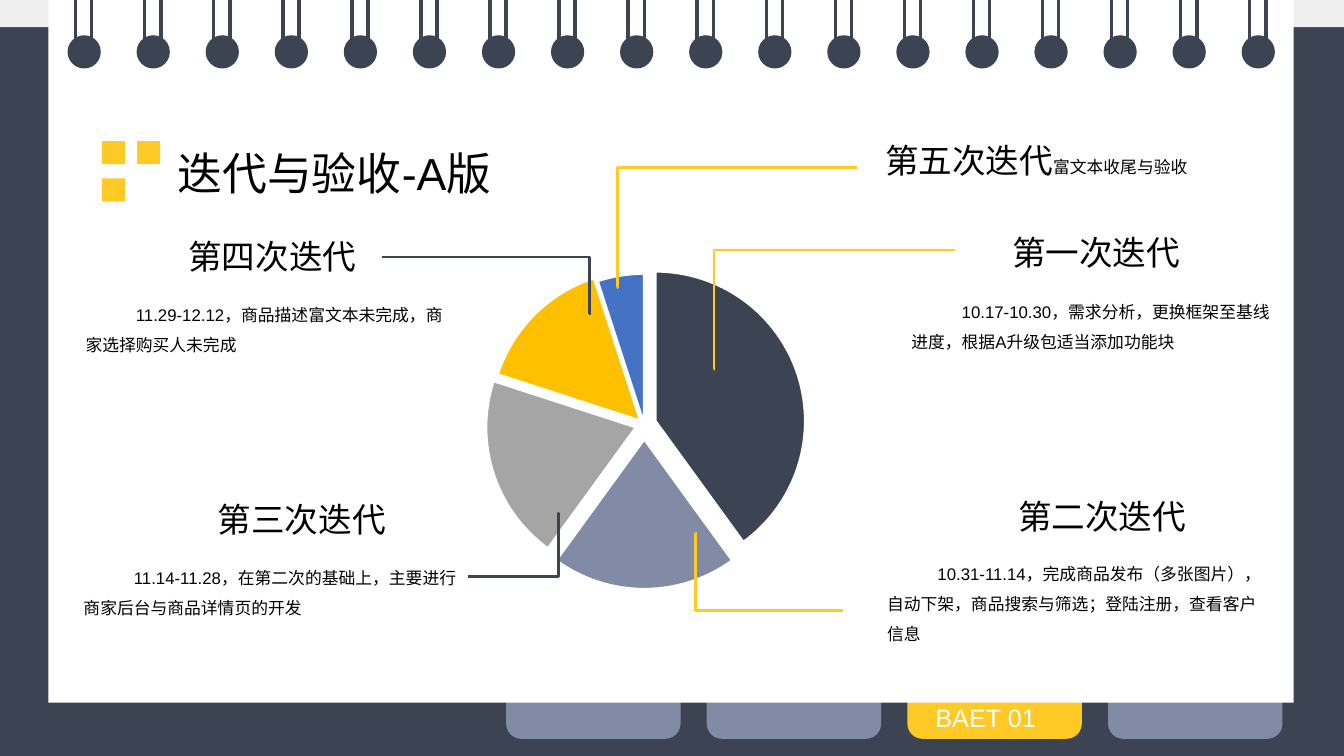
from lxml.etree import SubElement
from pptx import Presentation
from pptx.chart.data import CategoryChartData
from pptx.dml.color import RGBColor
from pptx.enum.chart import XL_CHART_TYPE
from pptx.enum.shapes import MSO_CONNECTOR, MSO_SHAPE
from pptx.enum.text import MSO_ANCHOR, MSO_AUTO_SIZE, PP_ALIGN
from pptx.oxml import parse_xml
from pptx.oxml.ns import nsdecls, qn
from pptx.util import Inches, Pt

THEME = {
    "navy": RGBColor.from_string("3C4353"),
    "slate": RGBColor.from_string("818BA5"),
    "yellow": RGBColor.from_string("FFCA25"),
    "pale": RGBColor.from_string("EFEFEF"),
    "white": RGBColor.from_string("FFFFFF"),
    "black": RGBColor.from_string("000000"),
    "grey": RGBColor.from_string("A5A5A5"),
    "gold": RGBColor.from_string("FFC000"),
    "blue": RGBColor.from_string("4472C4"),
    "font": "Arial",
    "chart_font": "Calibri",
    "title": Pt(32),
    "heading": Pt(24),
    "tab": Pt(18),
    "body": Pt(12),
    "chart": Pt(10),
}

prs = Presentation()
prs.slide_width, prs.slide_height = Inches(13.33), Inches(7.5)
s = prs.slides.add_slide(prs.slide_layouts[5])


def add_block(kind, x, y, w, h, color):
    sp = s.shapes.add_shape(kind, Inches(x), Inches(y), Inches(w), Inches(h))
    sp.shadow.inherit = False
    sp.fill.solid()
    sp.fill.fore_color.rgb = THEME[color]
    sp.line.fill.background()


def write(sp, runs, color="black", align=PP_ALIGN.LEFT, spacing=1.0, indent=0):
    tf = sp.text_frame
    frame = {"word_wrap": True, "auto_size": MSO_AUTO_SIZE.SHAPE_TO_FIT_TEXT,
             "vertical_anchor": MSO_ANCHOR.TOP}
    for name, value in frame.items():
        setattr(tf, name, value)
    p = tf.paragraphs[0]
    for name, value in {"alignment": align, "line_spacing": spacing}.items():
        setattr(p, name, value)
    if indent:
        pPr = p._p.get_or_add_pPr()
        pPr.set("marL", "0")
        pPr.set("indent", str(Inches(indent)))
    for text, size in runs:
        r = p.add_run()
        r.text = text
        for name, value in {"name": THEME["font"], "size": THEME[size]}.items():
            setattr(r.font, name, value)
        r.font.color.rgb = THEME[color]


add_block(MSO_SHAPE.RECTANGLE, 0, 0, 13.33, 7.5, "navy")
add_block(MSO_SHAPE.RECTANGLE, 0, 0, 13.33, 0.27, "pale")
for i, color in enumerate(["slate", "slate", "yellow", "slate"]):
    add_block(MSO_SHAPE.ROUNDED_RECTANGLE, 5.02 + 1.99 * i, 6.43, 1.73, 0.9, color)
tab = s.shapes.add_textbox(Inches(9.18), Inches(6.92), Inches(1.33), Inches(0.4))
write(tab, [("BAET 01", "tab")], "white", PP_ALIGN.JUSTIFY)

add_block(MSO_SHAPE.RECTANGLE, 0.48, 0, 12.35, 6.97, "white")
lines = []
for i in range(18):
    x = 0.67 + 0.685 * i
    add_block(MSO_SHAPE.OVAL, x, 0.35, 0.33, 0.33, "navy")
    for dx in (0.08, 0.24):
        c = s.shapes.add_connector(MSO_CONNECTOR.STRAIGHT, Inches(x + dx), Inches(-0.02),
                                   Inches(x + dx), Inches(0.51))
        lines.append((c, "navy", 2.5))

for x, y in [(1.01, 1.4), (1.36, 1.4), (1.01, 1.77)]:
    add_block(MSO_SHAPE.RECTANGLE, x, y, 0.23, 0.23, "yellow")

title = s.shapes.title
place = {"left": 1.66, "top": 1.4, "width": 3.64, "height": 0.64}
for name, value in place.items():
    setattr(title, name, Inches(value))
write(title, [("迭代与验收-A版", "title")])
title.element.getparent().append(title.element)

data = CategoryChartData()
data.categories = ["1", "2", "3", "4", "5"]
data.add_series("Series 1", (40, 20, 20, 15, 5))
chart = s.shapes.add_chart(XL_CHART_TYPE.PIE, Inches(3.92), Inches(2.59),
                           Inches(4.94), Inches(3.28), data).chart
for name, value in {"has_legend": False, "has_title": False}.items():
    setattr(chart, name, value)
for name, value in {"name": THEME["chart_font"], "size": THEME["chart"]}.items():
    setattr(chart.font, name, value)
chart.font.color.rgb = THEME["black"]
plot = chart.plots[0]
plot.vary_by_categories = True
slices = [("navy", 8), ("slate", 10), ("grey", 6), ("gold", 4), ("blue", 1)]
for i, (color, explosion) in enumerate(slices):
    point = plot.series[0].points[i]
    point.format.fill.solid()
    point.format.fill.fore_color.rgb = THEME[color]
    point.format.line.color.rgb = THEME["white"]
    point.format.line.width = Pt(1.5)
for dPt, (color, explosion) in zip(plot.series[0]._element.findall(qn("c:dPt")), slices):
    dPt.find(qn("c:spPr")).addprevious(
        parse_xml(f'<c:explosion {nsdecls("c")} val="{explosion}"/>'))
plot_area = chart._chartSpace.find(".//" + qn("c:plotArea"))
layout = plot_area.find(qn("c:layout"))
if layout is None:
    layout = parse_xml(f'<c:layout {nsdecls("c")}/>')
    plot_area.insert(0, layout)
manual = SubElement(layout, qn("c:manualLayout"))
for name, value in [("layoutTarget", "inner"), ("xMode", "edge"), ("yMode", "edge"),
                    ("x", 0.2), ("y", 0.04), ("w", 0.6), ("h", 0.91)]:
    SubElement(manual, qn("c:" + name)).set("val", str(value))

leaders = [
    (5.85, 3.11, 3.79, 2.55, "navy"),
    (5.54, 5.09, 4.64, 5.72, "navy"),
    (7.08, 3.67, 9.47, 2.48, "yellow"),
    (6.9, 5.28, 8.36, 6.06, "yellow"),
    (6.12, 2.85, 8.5, 1.66, "yellow"),
]
for x1, y1, x2, y2, color in leaders:
    c = s.shapes.add_connector(MSO_CONNECTOR.ELBOW, Inches(x1), Inches(y1),
                               Inches(x2), Inches(y2))
    guide = SubElement(c._element.spPr.find(qn("a:prstGeom")).get_or_add_avLst(), qn("a:gd"))
    for name, value in {"name": "adj1", "fmla": "val 100"}.items():
        guide.set(name, value)
    lines.append((c, color, 2))
for c, color, width in lines:
    c.line.color.rgb = THEME[color]
    c.line.width = Pt(width)
    SubElement(c._element.spPr, qn("a:effectLst"))

headings = [
    (1.77, 2.29, 2.07, [("第四次迭代", "heading")]),
    (2.06, 4.9, 2.08, [("第三次迭代", "heading")]),
    (9.94, 2.25, 2.17, [("第一次迭代", "heading")]),
    (10, 4.87, 2.03, [("第二次迭代", "heading")]),
    (8.68, 1.34, 3.42, [("第五次迭代", "heading"), ("富文本收尾与验收", "body")]),
]
for x, y, w, runs in headings:
    sp = s.shapes.add_textbox(Inches(x), Inches(y), Inches(w), Inches(0.5))
    write(sp, runs, align=PP_ALIGN.JUSTIFY)

details = [
    (0.75, 2.87, 0.67, "11.29-12.12，商品描述富文本未完成，商家选择购买人未完成"),
    (0.73, 5.48, 0.67, "11.14-11.28，在第二次的基础上，主要进行商家后台与商品详情页的开发"),
    (8.94, 2.84, 0.67, "10.17-10.30，需求分析，更换框架至基线进度，根据A升级包适当添加功能块"),
    (8.7, 5.44, 0.97, "10.31-11.14，完成商品发布（多张图片），自动下架，商品搜索与筛选；登陆注册，查看客户信息"),
]
for x, y, h, text in details:
    sp = s.shapes.add_textbox(Inches(x), Inches(y), Inches(3.9), Inches(h))
    write(sp, [(text, "body")], spacing=1.5, indent=0.5)

prs.save("out.pptx")
